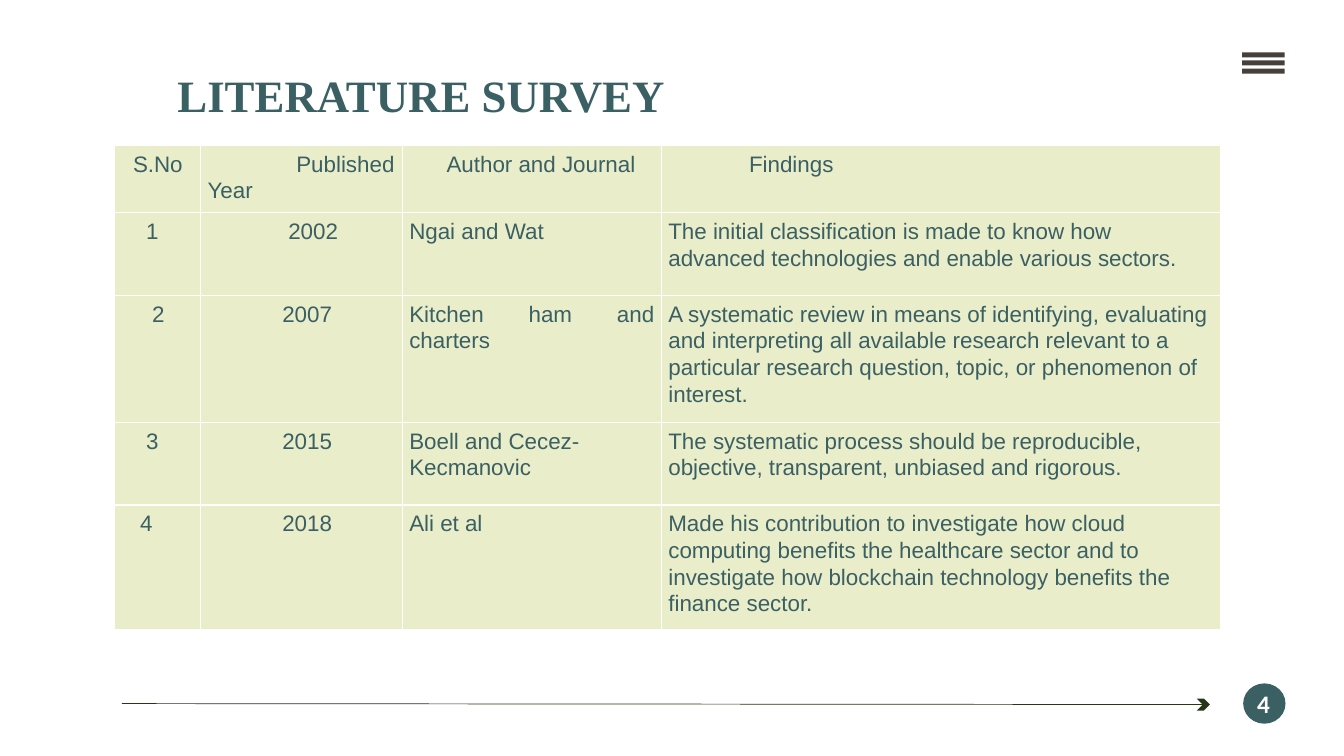
from dataclasses import dataclass

from lxml.etree import SubElement
from pptx import Presentation
from pptx.dml.color import RGBColor
from pptx.enum.shapes import MSO_CONNECTOR, MSO_SHAPE
from pptx.enum.text import MSO_ANCHOR, MSO_AUTO_SIZE, PP_ALIGN
from pptx.oxml import parse_xml
from pptx.oxml.ns import nsdecls, qn
from pptx.util import Inches, Pt


@dataclass(frozen=True)
class Theme:
    teal: str = "3B6064"
    cream: str = "E9EDC9"
    forest: str = "283618"
    brown: str = "463F3A"
    white: str = "FFFFFF"
    title_font: str = "Times New Roman"
    body_font: str = "Arial"
    number_font: str = "Calibri"
    title_size: int = 32
    body_size: int = 16
    number_size: int = 18


# Each cell is its text, or its text with a first-line indent in inches
ROWS = [
    [("S.No", 0.12), ("Published Year", 0.88), ("Author and Journal", 0.37), ("Findings", 0.8)],
    [("1", 0.25), ("2002", 0.8), "Ngai and Wat",
     "The initial classification is made to know how advanced technologies "
     "and enable various sectors."],
    [("2", 0.31), ("2007", 0.74), "Kitchen ham and charters",
     "A systematic review in means of identifying, evaluating and interpreting all available "
     "research relevant to a particular research question, topic, or phenomenon of interest."],
    [("3", 0.25), ("2015", 0.74), "Boell and Cecez-Kecmanovic",
     "The systematic process should be reproducible, objective, transparent, "
     "unbiased and rigorous."],
    [("4", 0.19), ("2018", 0.74), "Ali et al",
     "Made his contribution to investigate how cloud computing benefits the healthcare sector "
     "and to investigate how blockchain technology benefits the finance sector."],
]
COLUMN_WIDTHS = [0.86, 2, 2.57, 5.55]
ROW_HEIGHTS = [0.66, 0.82, 1.26, 0.82, 1.16]
JUSTIFIED_CELLS = {(2, 2)}


def apply_format(target, values):
    for name, value in values.items():
        setattr(target, name, value)


class SlideBuilder:
    def __init__(self, slide, theme):
        self.slide = slide
        self.theme = theme

    def add_text(self, frame, text, font, size, color, bold=False, **paragraph_format):
        paragraph = frame.paragraphs[0]
        apply_format(paragraph, paragraph_format)
        run = paragraph.add_run()
        run.text = text
        apply_format(run.font, {"name": font, "size": Pt(size), "bold": bold})
        run.font.color.rgb = RGBColor.from_string(color)
        return run

    def paint(self, shape, color):
        shape.shadow.inherit = False
        shape.fill.solid()
        shape.fill.fore_color.rgb = RGBColor.from_string(color)
        shape.line.fill.background()

    def title(self, text, left, top, width, height):
        shape = self.slide.shapes.title
        apply_format(shape, {"left": Inches(left), "top": Inches(top),
                             "width": Inches(width), "height": Inches(height)})
        apply_format(shape.text_frame, {"auto_size": MSO_AUTO_SIZE.SHAPE_TO_FIT_TEXT,
                                        "word_wrap": True,
                                        "vertical_anchor": MSO_ANCHOR.MIDDLE})
        theme = self.theme
        run = self.add_text(shape.text_frame, text, theme.title_font, theme.title_size,
                            theme.teal, bold=True, alignment=PP_ALIGN.LEFT)
        shadow = parse_xml(
            f'<a:effectLst {nsdecls("a")}><a:outerShdw blurRad="38100" dist="38100" '
            'dir="2700000" algn="tl"><a:srgbClr val="000000"><a:alpha val="43000"/>'
            '</a:srgbClr></a:outerShdw></a:effectLst>')
        run._r.get_or_add_rPr().find(qn("a:solidFill")).addnext(shadow)

    def text(self, text, left, top, width, height):
        shape = self.slide.shapes.add_textbox(*map(Inches, (left, top, width, height)))
        apply_format(shape.text_frame, {"word_wrap": True,
                                        "auto_size": MSO_AUTO_SIZE.SHAPE_TO_FIT_TEXT})
        theme = self.theme
        self.add_text(shape.text_frame, text, theme.number_font, theme.number_size,
                      theme.white, bold=True)

    def shape(self, preset, left, top, width, height, color):
        shape = self.slide.shapes.add_shape(preset, *map(Inches, (left, top, width, height)))
        self.paint(shape, color)

    def menu_icon(self, left, top, width, bar_height, pitch, color):
        builder = None
        for index in range(3):
            x, y = Inches(left), Inches(top + index * pitch)
            right, bottom = x + Inches(width), y + Inches(bar_height)
            if builder is None:
                builder = self.slide.shapes.build_freeform(x, y)
            else:
                builder.move_to(x, y)
            builder.add_line_segments([(right, y), (right, bottom), (x, bottom)], close=True)
        self.paint(builder.convert_to_shape(), color)

    def line(self, start, end, color, weight):
        connector = self.slide.shapes.add_connector(
            MSO_CONNECTOR.STRAIGHT, *map(Inches, (*start, *end)))
        connector.line.width = Pt(weight)
        connector.line.color.rgb = RGBColor.from_string(color)
        SubElement(connector._element.spPr, qn("a:effectLst"))

    def cell(self, cell, content, alignment):
        text, indent = (content, 0) if isinstance(content, str) else content
        theme = self.theme
        apply_format(cell, {"margin_left": Inches(0.07), "margin_right": Inches(0.07),
                            "margin_top": Inches(0.05), "margin_bottom": Inches(0.05)})
        self.add_text(cell.text_frame, text, theme.body_font, theme.body_size, theme.teal,
                      alignment=alignment, line_spacing=1.07, space_before=Pt(12))
        properties = cell.text_frame.paragraphs[0]._p.get_or_add_pPr()
        properties.set("marL", "0")
        properties.set("indent", str(Inches(indent)))
        # Borders go before the fill in the cell properties
        for side in ("lnL", "lnR", "lnT", "lnB"):
            border = SubElement(cell._tc.get_or_add_tcPr(), qn(f"a:{side}"), w=str(Pt(1)))
            fill = SubElement(border, qn("a:solidFill"))
            SubElement(fill, qn("a:srgbClr"), val=theme.white)
        cell.fill.solid()
        cell.fill.fore_color.rgb = RGBColor.from_string(theme.cream)

    def table(self, rows, left, top, widths, heights):
        table = self.slide.shapes.add_table(
            len(heights), len(widths),
            *map(Inches, (left, top, sum(widths), sum(heights)))).table
        apply_format(table, {"first_row": False, "horz_banding": False})
        for column, width in zip(table.columns, widths):
            column.width = Inches(width)
        for row_index, (row, height) in enumerate(zip(rows, heights)):
            table.rows[row_index].height = Inches(height)
            for column_index, content in enumerate(row):
                justified = (row_index, column_index) in JUSTIFIED_CELLS
                self.cell(table.cell(row_index, column_index), content,
                          PP_ALIGN.JUSTIFY if justified else PP_ALIGN.LEFT)


def main():
    presentation = Presentation()
    apply_format(presentation, {"slide_width": Inches(13.33), "slide_height": Inches(7.5)})
    theme = Theme()
    builder = SlideBuilder(presentation.slides.add_slide(presentation.slide_layouts[5]), theme)

    # Menu icon and footer arrow
    builder.menu_icon(12.32, 0.52, 0.42, 0.05, 0.08, theme.brown)
    builder.line((1.21, 6.98), (11.94, 6.99), theme.forest, 0.5)
    builder.shape(MSO_SHAPE.CHEVRON, 11.87, 6.93, 0.13, 0.12, theme.forest)

    # Title and survey table
    builder.title("LITERATURE SURVEY", 1.66, 0.62, 5.52, 0.64)
    builder.table(ROWS, 1.13, 1.44, COLUMN_WIDTHS, ROW_HEIGHTS)

    # Page number
    builder.shape(MSO_SHAPE.OVAL, 12.33, 6.78, 0.42, 0.4, theme.teal)
    builder.text("4", 12.37, 6.78, 0.28, 0.4)

    presentation.save("out.pptx")


if __name__ == "__main__":
    main()
